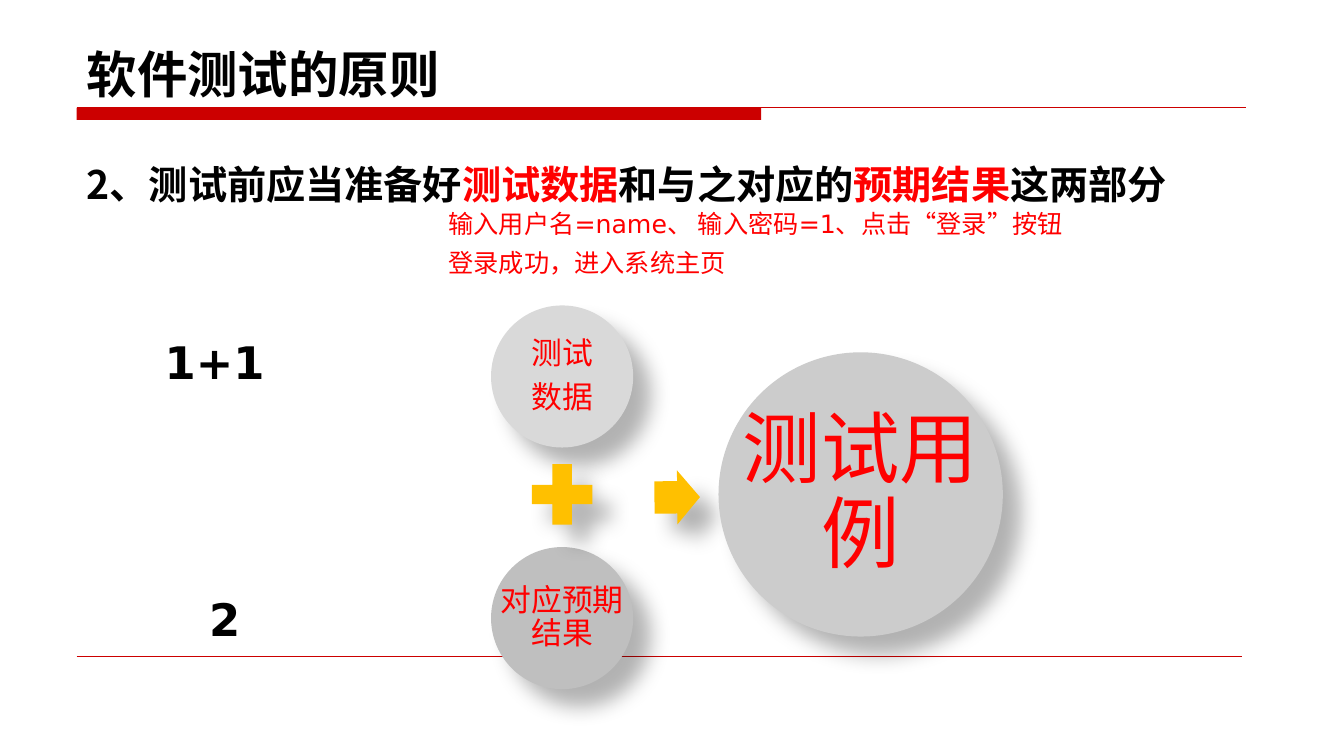
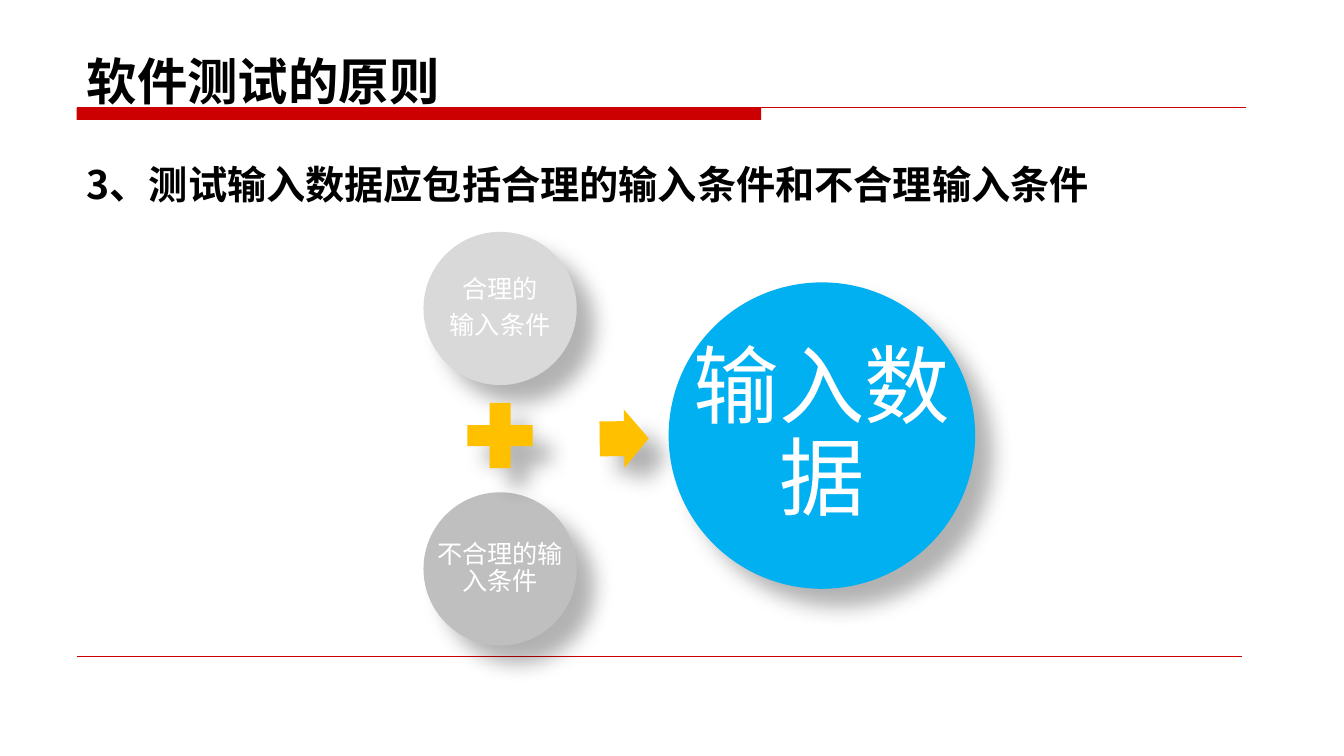
from lxml import etree
from pptx import Presentation
from pptx.dml.color import RGBColor
from pptx.enum.shapes import MSO_CONNECTOR, MSO_SHAPE
from pptx.enum.text import MSO_ANCHOR, PP_ALIGN
from pptx.oxml.ns import qn
from pptx.util import Inches, Pt

OVAL, PLUS = MSO_SHAPE.OVAL, MSO_SHAPE.MATH_PLUS
ARROW, RECT = MSO_SHAPE.RIGHT_ARROW, MSO_SHAPE.RECTANGLE
STRAIGHT = MSO_CONNECTOR.STRAIGHT
MIDDLE, BOTTOM = MSO_ANCHOR.MIDDLE, MSO_ANCHOR.BOTTOM
LEFT, CENTER = PP_ALIGN.LEFT, PP_ALIGN.CENTER

COLORS = {
    "black": "000000", "white": "FFFFFF", "red": "FF0000", "band": "CC0000",
    "light": "D9D9D9", "mid": "BFBFBF", "grey": "CCCCCC",
    "blue": "00B0F0", "gold": "FFC000",
}
HEAD_FONT, TEXT_FONT = "Noto Sans CJK SC", "DejaVu Sans"
WIDTH, HEIGHT = 13.33, 7.5
MARGIN, CONTENT_W = 0.76, 11.67
TITLE_H, TITLE_TOP = 0.79, 0.36
RULE_Y, BAND_W, BAND_H = 1.07, 6.79, 0.12


def rgb(name):
    return RGBColor.from_string(COLORS[name])


def inches(*values):
    return [Inches(v) for v in values]


def style_run(r, size, color, font=TEXT_FONT, bold=False):
    r.font.size, r.font.bold, r.font.name = Pt(size), bold, font
    r.font.color.rgb = rgb(color)
    ea = etree.SubElement(r.font._element, qn("a:ea"))
    ea.set("typeface", HEAD_FONT)


def add_text(shapes, box, lines, size, color, bold=False, align=LEFT, inset=None):
    tf = shapes.add_textbox(*inches(*box)).text_frame
    tf.word_wrap = True
    tf.text = "\n".join(lines)
    if inset is not None:
        tf.margin_left = tf.margin_right = Inches(inset)
        tf.margin_top = tf.margin_bottom = Inches(inset)
        tf.vertical_anchor = MIDDLE
    for p in tf.paragraphs:
        p.alignment = align
        for r in p.runs:
            style_run(r, size, color, bold=bold)
    return tf


def add_shadow(sp):
    effects = etree.SubElement(sp.element.spPr, qn("a:effectLst"))
    shadow = etree.SubElement(effects, qn("a:outerShdw"), blurRad=str(Pt(15)),
                              dist=str(Pt(18)), dir="2700000", algn="tl", rotWithShape="0")
    color = etree.SubElement(shadow, qn("a:srgbClr"), val=COLORS["black"])
    etree.SubElement(color, qn("a:alpha"), val="30000")


def add_solid(shapes, kind, box, color):
    sp = shapes.add_shape(kind, *inches(*box))
    sp.fill.solid()
    sp.fill.fore_color.rgb = rgb(color)
    sp.line.fill.background()
    return sp


def add_rule(shapes, x1, x2, y, weight):
    line = shapes.add_connector(STRAIGHT, *inches(x1, y, x2, y))
    line.line.color.rgb = rgb("band")
    line.line.width = Pt(weight)
    etree.SubElement(line.element.spPr, qn("a:effectLst"))
    return line


def setup_layout(layout):
    for ph in list(layout.placeholders):
        idx = ph.placeholder_format.idx
        if idx > 1:
            ph.element.getparent().remove(ph.element)
            continue
        box = [(TITLE_TOP, TITLE_H), (1.31, 4.67)][idx]
        ph.left, ph.top, ph.width, ph.height = inches(MARGIN, box[0], CONTENT_W, box[1])
        if idx == 0:
            ph.text_frame.vertical_anchor = BOTTOM


def move_bands_to_layout(s, layout):
    band = add_solid(s.shapes, RECT, (MARGIN, RULE_Y, BAND_W, BAND_H), "band")
    band.shadow.inherit = False
    top_rule = add_rule(s.shapes, MARGIN, 12.36, RULE_Y, 0.75)
    foot_rule = add_rule(s.shapes, MARGIN, 12.32, 6.51, 0.25)
    for sp in (band, top_rule, foot_rule):
        layout.shapes.element.append(sp.element)


def fill_heading(s, principle, title_top):
    title, body = s.shapes.title, s.placeholders[1]
    title.left, title.top, title.width, title.height = inches(
        MARGIN, title_top, CONTENT_W, TITLE_H)
    title.text_frame.text = "软件测试的原则"
    p = title.text_frame.paragraphs[0]
    p.alignment = LEFT
    style_run(p.runs[0], 36, "black", HEAD_FONT, True)

    p = body.text_frame.paragraphs[0]
    p.line_spacing = 1.5
    pPr = p._p.get_or_add_pPr()
    pPr.set("marL", str(Inches(0.51)))
    pPr.set("indent", str(Inches(-0.51)))
    etree.SubElement(pPr, qn("a:buNone"))
    for text, color in principle:
        r = p.add_run()
        r.text = text
        style_run(r, 28, color, HEAD_FONT, True)


def add_equation(s, left, top, d, parts, result, result_color, text_color, sizes):
    shapes = s.shapes.add_group_shape().shapes

    def place(x, y, w, h):
        return left + x * d, top + y * d, w * d, h * d

    def circle(box, lines, color, size, inset):
        add_shadow(add_solid(shapes, OVAL, box, color))
        tf = add_text(shapes, box, lines, size, text_color, align=CENTER, inset=inset)
        for p in tf.paragraphs:
            p.line_spacing = 0.9
            after = etree.SubElement(p._p.get_or_add_pPr(), qn("a:spcAft"))
            etree.SubElement(after, qn("a:spcPct"), val="35000")

    for lines, color, y in zip(parts, ("light", "mid"), (0, 1.7)):
        circle(place(0, y, 1, 1), lines, color, sizes[0], 0.03)
    add_shadow(add_solid(shapes, PLUS, place(0.21, 1.04, 0.58, 0.58), "gold"))
    arrow = add_solid(shapes, ARROW, place(1.15, 1.16, 0.32, 0.38), "gold")
    arrow.adjustments[0], arrow.adjustments[1] = 0.6, 0.5
    arrow.rotation = 359.4
    add_shadow(arrow)
    circle(place(1.6, 0.33, 2, 2), [result], result_color, sizes[1], 0.08)


def add_example(s):
    for text, left, top in (("1+1", 1.38, 3.27), ("2", 1.48, 5.82)):
        add_text(s.shapes, (left, top, 1.5, 0.64), [text], 32, "black", True, CENTER)
    lines = ["输入用户名=name、 输入密码=1、点击“登录”按钮", "登录成功，进入系统主页"]
    tf = add_text(s.shapes, (4.13, 2.02, 8.56, 1.63), lines, 18, "red")
    for p in tf.paragraphs:
        p.space_after = Pt(6)
        p._p.get_or_add_pPr().set("indent", str(Inches(0.22)))


def main():
    prs = Presentation()
    prs.slide_width, prs.slide_height = inches(WIDTH, HEIGHT)
    layout = prs.slide_layouts[1]
    setup_layout(layout)

    s = prs.slides.add_slide(layout)
    move_bands_to_layout(s, layout)
    fill_heading(s, [("2、测试前应当准备好", "black"), ("测试数据", "red"),
                     ("和与之对应的", "black"), ("预期结果", "red"),
                     ("这两部分", "black")], 0.29)
    add_equation(s, 4.87, 3.03, 1.41, [["测试", "数据"], ["对应预期结果"]],
                 "测试用例", "grey", "red", (22, 56))
    add_example(s)

    s = prs.slides.add_slide(layout)
    fill_heading(s, [("3、测试输入数据应包括合理的输入条件和不合理输入条件", "black")], TITLE_TOP)
    add_equation(s, 4.2, 2.3, 1.52, [["合理的", "输入条件"], ["不合理的输入条件"]],
                 "输入数据", "blue", "white", (18, 61))

    prs.save("out.pptx")


if __name__ == "__main__":
    main()
